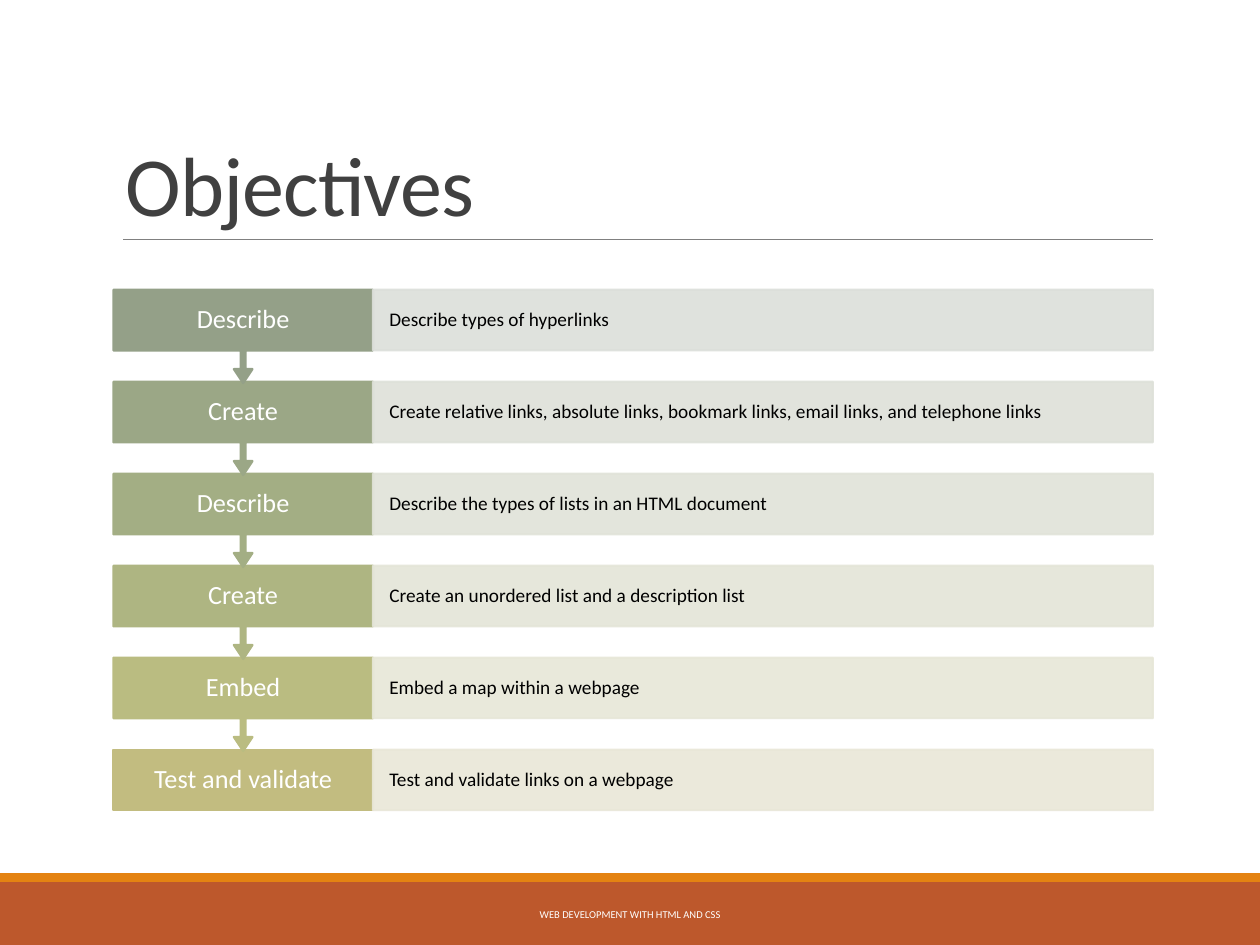
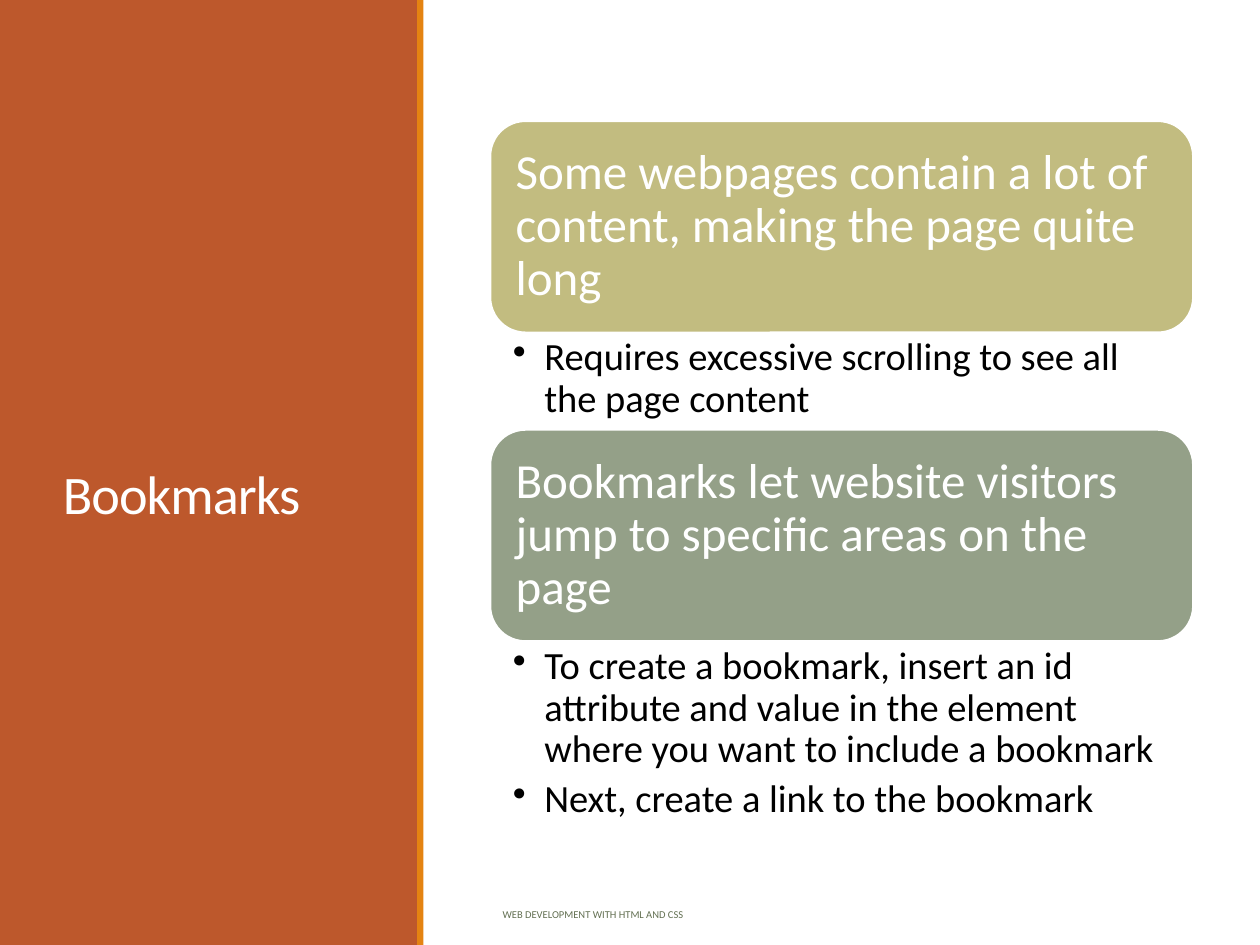
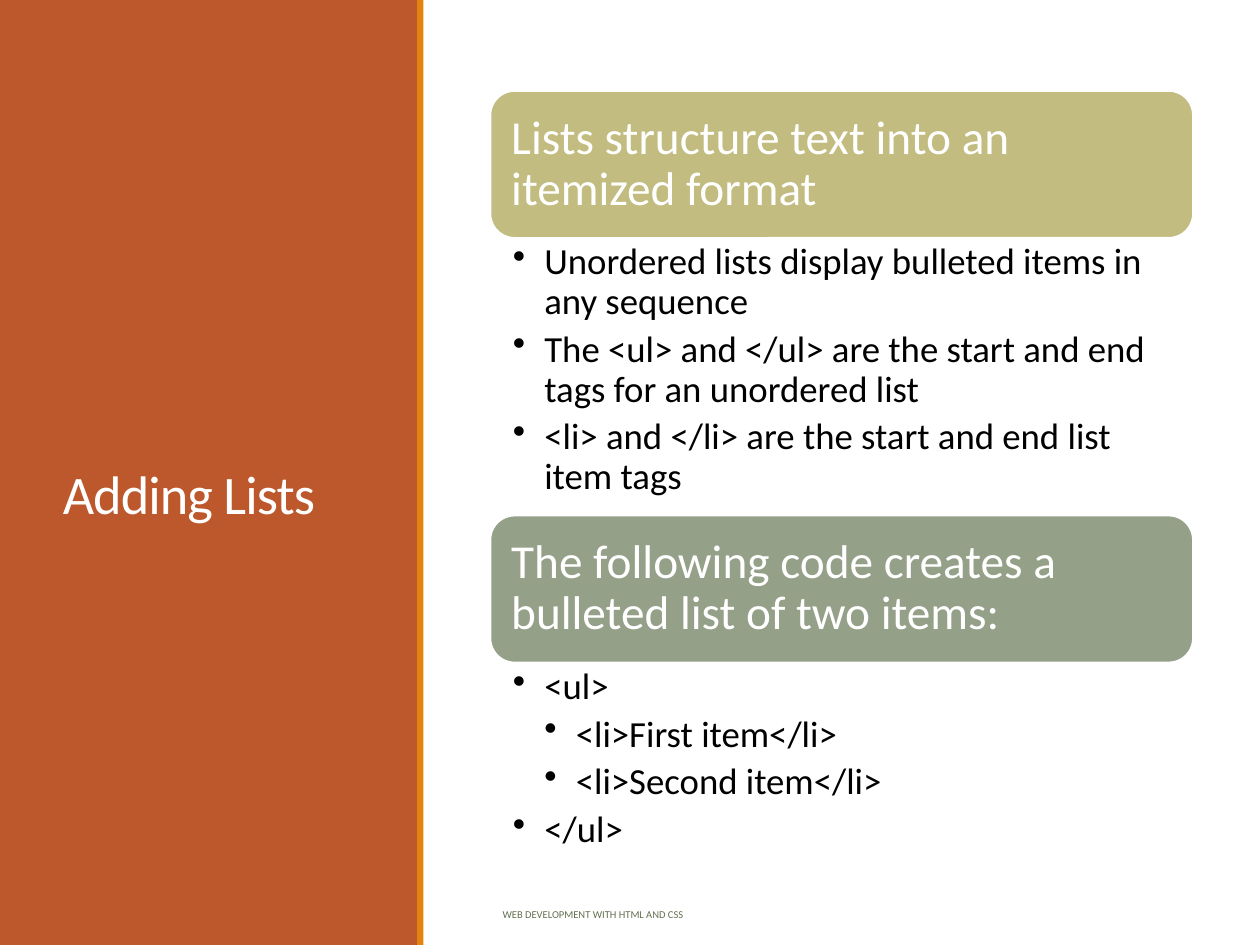
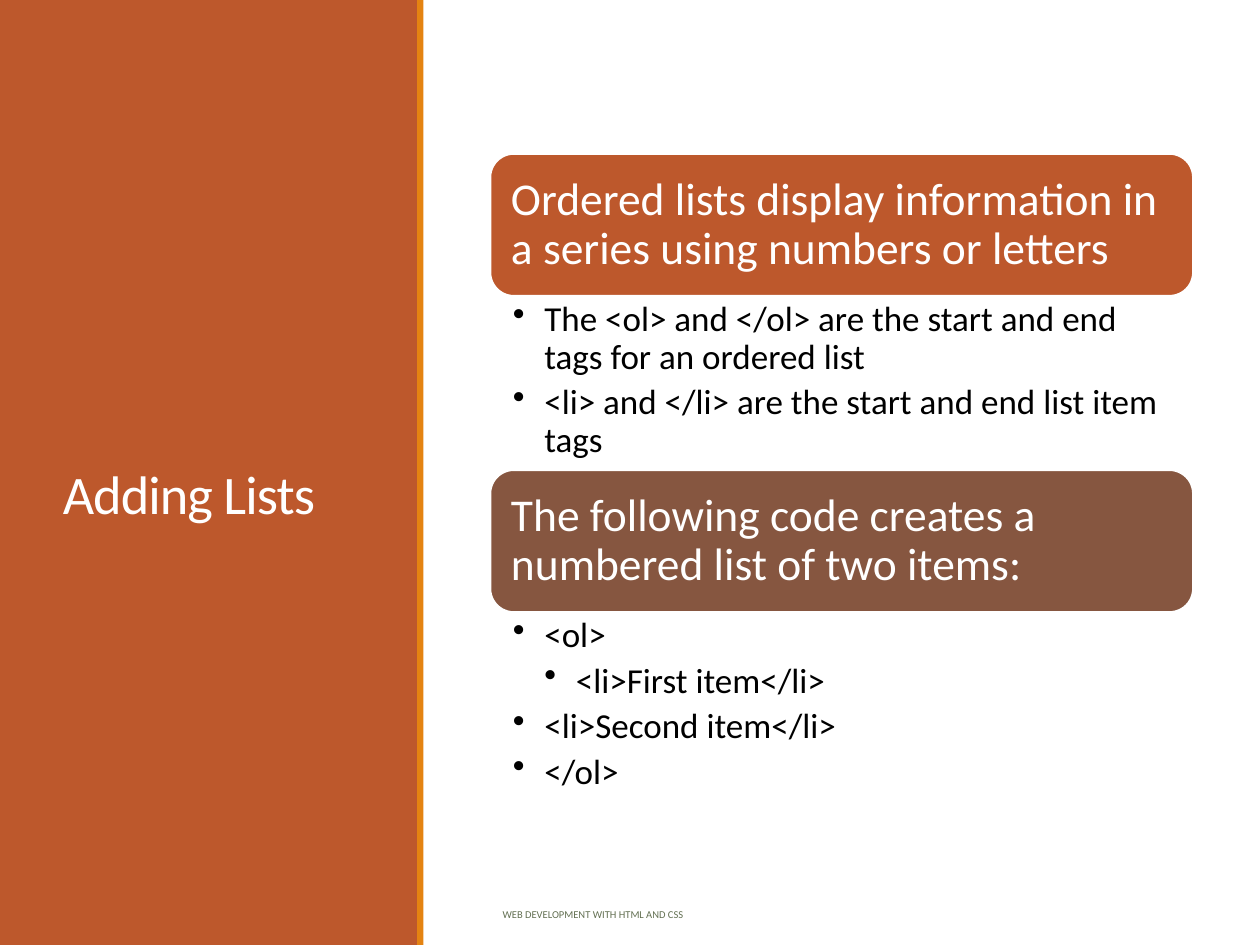
"""Builds four web development slides: the objectives flow and three topic pages."""
from lxml import etree
from pptx import Presentation
from pptx.dml.color import RGBColor
from pptx.enum.shapes import MSO_CONNECTOR, MSO_SHAPE
from pptx.enum.text import MSO_ANCHOR, PP_ALIGN
from pptx.oxml.ns import qn
from pptx.util import Inches, Pt

RECT, ROUND_RECT = MSO_SHAPE.RECTANGLE, MSO_SHAPE.ROUNDED_RECTANGLE
CALLOUT = MSO_SHAPE.UP_ARROW_CALLOUT
TOP, MIDDLE, BOTTOM = MSO_ANCHOR.TOP, MSO_ANCHOR.MIDDLE, MSO_ANCHOR.BOTTOM
LEFT, CENTER = PP_ALIGN.LEFT, PP_ALIGN.CENTER

FONT = "Calibri"
WHITE = RGBColor(0xFF, 0xFF, 0xFF)
BLACK = RGBColor(0x00, 0x00, 0x00)
CHARCOAL = RGBColor(0x40, 0x40, 0x40)
GREY = RGBColor(0x80, 0x80, 0x80)
RUST = RGBColor(0xBD, 0x58, 0x2C)
ORANGE = RGBColor(0xE4, 0x83, 0x12)
MOSS = RGBColor(0x63, 0x70, 0x52)
OLIVE = RGBColor(0xC2, 0xBC, 0x80)
SAGE = RGBColor(0x94, 0xA0, 0x88)
BROWN = RGBColor(0x86, 0x56, 0x40)
STEP_COLORS = [SAGE, RGBColor(0x9B, 0xA7, 0x86), RGBColor(0xA3, 0xAE, 0x84),
               RGBColor(0xAE, 0xB5, 0x82), RGBColor(0xBA, 0xBC, 0x81), OLIVE]
DETAIL_COLORS = [RGBColor(0xDC, 0xDF, 0xDA), RGBColor(0xDE, 0xE1, 0xD9),
                 RGBColor(0xE1, 0xE3, 0xD9), RGBColor(0xE4, 0xE5, 0xD8),
                 RGBColor(0xE7, 0xE7, 0xD8), RGBColor(0xE9, 0xE7, 0xD8)]

FOOTER = "WEB DEVELOPMENT WITH HTML AND CSS"
OBJECTIVES = [
    ("Describe", "Describe types of hyperlinks"),
    ("Create", "Create relative links, absolute links, bookmark links, "
               "email links, and telephone links"),
    ("Describe", "Describe the types of lists in an HTML document"),
    ("Create", "Create an unordered list and a description list"),
    ("Embed", "Embed a map within a webpage"),
    ("Test and validate", "Test and validate links on a webpage"),
]
TOPICS = [
    {"title": "Bookmarks", "top": 0.96, "heading_height": 1.68,
     "heading_size": 28, "bullet_size": 22, "inset": 0.12, "sections": [
         (OLIVE, "Some webpages contain a lot of content, making the page quite long", 0.77,
          [(1, "Requires excessive scrolling to see all the page content")]),
         (SAGE, "Bookmarks let website visitors jump to specific areas on the page", 1.52,
          [(1, "To create a bookmark, insert an id attribute and value in the element "
               "where you want to include a bookmark"),
           (1, "Next, create a link to the bookmark")]),
     ]},
    {"title": "Adding Lists", "top": 0.72, "heading_height": 1.17,
     "heading_size": 27, "bullet_size": 21, "inset": 0.11, "sections": [
         (OLIVE, "Lists structure text into an itemized format", 2.2,
          [(1, "Unordered lists display bulleted items in any sequence"),
           (1, "The <ul> and </ul> are the start and end tags for an unordered list"),
           (1, "<li> and </li> are the start and end list item tags")]),
         (SAGE, "The following code creates a bulleted list of two items:", 1.59,
          [(1, "<ul>"), (2, "<li>First item</li>"),
           (2, "<li>Second item</li>"), (1, "</ul>")]),
     ]},
    {"title": "Adding Lists", "top": 1.22, "heading_height": 1.13,
     "heading_size": 26, "bullet_size": 20, "inset": 0.11, "sections": [
         (RUST, "Ordered lists display information in a series using numbers or letters", 1.38,
          [(1, "The <ol> and </ol> are the start and end tags for an ordered list"),
           (1, "<li> and </li> are the start and end list item tags")]),
         (BROWN, "The following code creates a numbered list of two items:", 1.5,
          [(1, "<ol>"), (2, "<li>First item</li>"),
           (1, "<li>Second item</li>"), (1, "</ol>")]),
     ]},
]

INSETS = (0.1, 0.05, 0.1, 0.05)
FLOW_LEFT, FLOW_TOP, STEP_PITCH = 0.9, 2.3, 0.73
STEP_WIDTH, STEP_HEIGHT, CALLOUT_HEIGHT, DETAIL_WIDTH = 2.06, 0.48, 0.74, 6.19
CALLOUT_ADJUSTMENTS = (0.05, 0.1, 0.15, 0.65)
TOPIC_LEFT, TOPIC_WIDTH, INDENT = 3.89, 5.58, 0.25


def add_block(page, bounds, color, kind=RECT, outline=None, opacity=None):
    block = page.shapes.add_shape(kind, *map(Inches, bounds))
    block.shadow.inherit = False
    block.fill.solid()
    block.fill.fore_color.rgb = color
    if outline is None:
        block.line.fill.background()
    else:
        block.line.color.rgb = outline
        block.line.width = Pt(1.25)
    if opacity:
        for tint in block._element.spPr.iter(qn("a:srgbClr")):
            etree.SubElement(tint, qn("a:alpha"), val=str(opacity * 1000))
    return block


def write(box, items, size, color, anchor=MIDDLE, align=LEFT, insets=INSETS,
          line_spacing=0.9, tracking=None):
    """Writes (depth, text) items; a depth above zero makes a bullet."""
    frame = box.text_frame
    margins = dict(zip(("margin_left", "margin_top", "margin_right", "margin_bottom"),
                       map(Inches, insets)))
    for name, value in {**margins, "word_wrap": True, "vertical_anchor": anchor}.items():
        setattr(frame, name, value)
    for number, (depth, text) in enumerate(items):
        para = frame.add_paragraph() if number else frame.paragraphs[0]
        para.alignment, para.line_spacing, para.level = align, line_spacing, depth
        span = para.add_run()
        span.text = text
        for name, value in {"name": FONT, "size": Pt(size)}.items():
            setattr(span.font, name, value)
        span.font.color.rgb = color
        if tracking:
            span._r.get_or_add_rPr().set("spc", str(tracking))
        if depth:
            para.space_after = Pt(round(size * 0.22, 1))
            properties = para._p.get_or_add_pPr()
            properties.set("marL", str(Inches(INDENT * depth)))
            properties.set("indent", str(-Inches(INDENT)))
            etree.SubElement(properties, qn("a:buChar"), char="•")


def add_text(page, bounds, items, size, color, **layout):
    box = page.shapes.add_textbox(*map(Inches, bounds))
    write(box, items, size, color, **layout)


def add_title(page, bounds, text, size, color, **layout):
    add_text(page, bounds, [(0, text)], size, color, line_spacing=0.85, tracking=-50, **layout)


def add_footer(page, bounds, color, align=LEFT):
    add_text(page, bounds, [(0, FOOTER)], 6, color, align=align)


def add_rule(page, left, right, top):
    rule = page.shapes.add_connector(MSO_CONNECTOR.STRAIGHT, Inches(left), Inches(top),
                                     Inches(right), Inches(top))
    rule.line.color.rgb = GREY
    rule.line.width = Pt(0.5)
    etree.SubElement(rule._element.spPr, qn("a:effectLst"))


def build_objectives(page):
    add_block(page, (0, 7, 10, 0.5), RUST)
    add_block(page, (0, 6.93, 10, 0.07), ORANGE)
    add_rule(page, 0.98, 9.15, 1.9)
    add_title(page, (0.9, 0.31, 8.25, 1.59), "Objectives", 48, CHARCOAL, anchor=BOTTOM)
    add_footer(page, (3.02, 7.06, 3.96, 0.4), WHITE, CENTER)
    last = len(OBJECTIVES) - 1
    for index in range(last, -1, -1):
        verb, detail = OBJECTIVES[index]
        step_color, detail_color = STEP_COLORS[index], DETAIL_COLORS[index]
        top = FLOW_TOP + index * STEP_PITCH
        label_bounds = (FLOW_LEFT, top, STEP_WIDTH, STEP_HEIGHT)
        if index == last:
            add_block(page, label_bounds, step_color, outline=step_color)
        else:
            callout = add_block(page, (FLOW_LEFT, top, STEP_WIDTH, CALLOUT_HEIGHT),
                                step_color, CALLOUT, step_color)
            callout.rotation = 180
            for number, value in enumerate(CALLOUT_ADJUSTMENTS):
                callout.adjustments[number] = value
        add_text(page, label_bounds, [(0, verb)], 15, WHITE, align=CENTER,
                 insets=(0.15, 0.12, 0.15, 0.12))
        bar = add_block(page, (FLOW_LEFT + STEP_WIDTH, top, DETAIL_WIDTH, STEP_HEIGHT),
                        detail_color, outline=detail_color, opacity=90)
        write(bar, [(0, detail)], 11, BLACK, insets=(0.13, 0.15, 0.13, 0.15))


def build_topic(page, topic):
    add_block(page, (0, 0, 3.32, 7.5), RUST)
    add_title(page, (0.4, 0.57, 2.53, 6.31), topic["title"], 31, WHITE,
              insets=(0.1, 0.5, 0.1, 0.05))
    add_block(page, (3.31, 0, 0.05, 7.5), ORANGE)
    add_footer(page, (TOPIC_LEFT, 7.06, 4.19, 0.4), MOSS)
    top, height, size = topic["top"], topic["heading_height"], topic["bullet_size"]
    for color, heading, list_height, bullets in topic["sections"]:
        panel = add_block(page, (TOPIC_LEFT, top, TOPIC_WIDTH, height), color, ROUND_RECT, WHITE)
        write(panel, [(0, heading)], topic["heading_size"], WHITE, insets=(topic["inset"],) * 4)
        top += height
        add_text(page, (TOPIC_LEFT, top, TOPIC_WIDTH, list_height), bullets, size, BLACK,
                 anchor=TOP, insets=(0.18, 0.04, size / 100, 0.04))
        top += list_height


def main():
    deck = Presentation()
    deck.slide_width, deck.slide_height = Inches(10), Inches(7.5)
    blank = deck.slide_layouts[6]
    build_objectives(deck.slides.add_slide(blank))
    for topic in TOPICS:
        build_topic(deck.slides.add_slide(blank), topic)
    deck.save("out.pptx")


if __name__ == "__main__":
    main()
